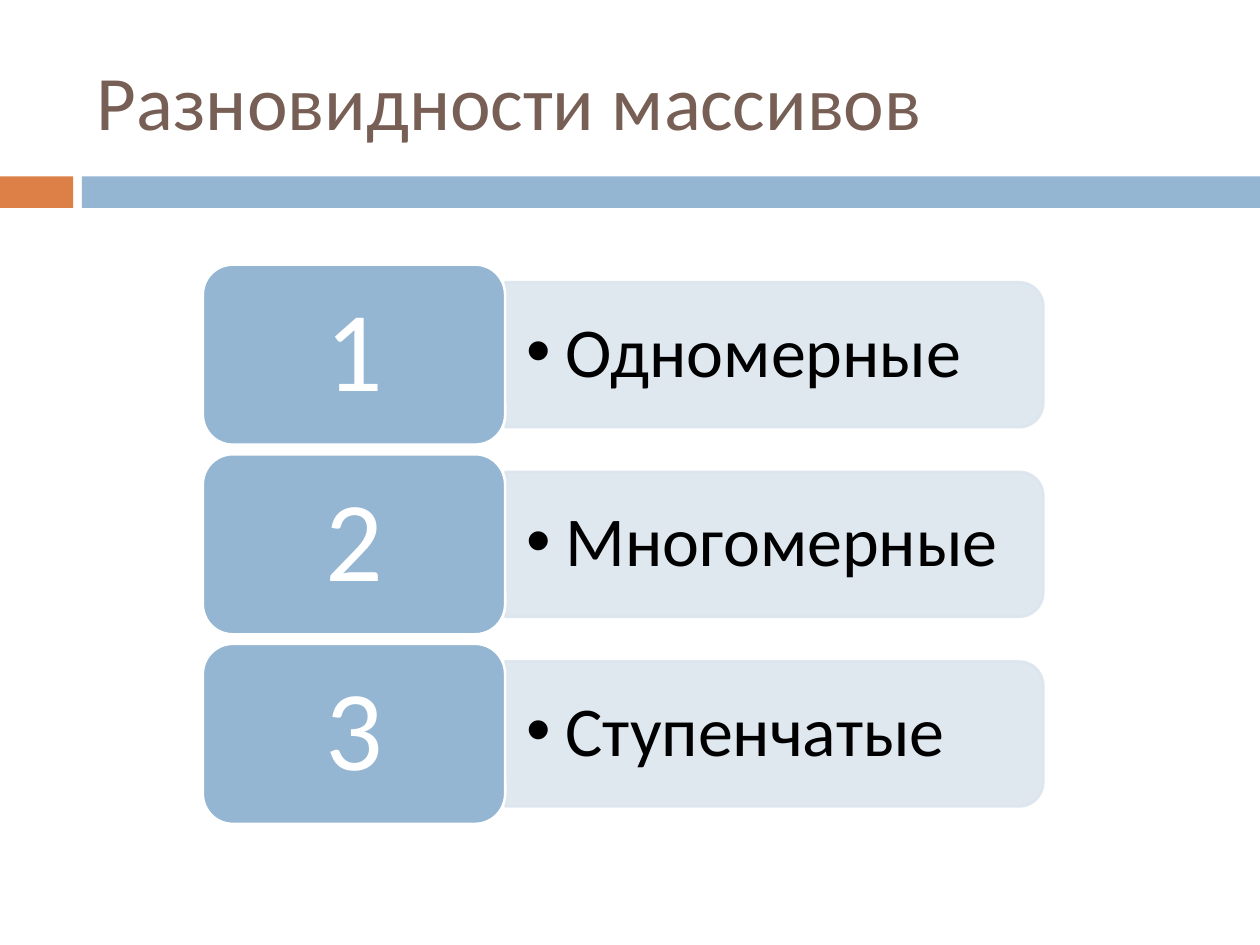
import pptx
import pptx.util
import pptx.dml.color
import pptx.enum.shapes
import pptx.enum.text
import pptx.oxml.ns
import lxml.etree

Inches, Pt = pptx.util.Inches, pptx.util.Pt
SHAPE = pptx.enum.shapes.MSO_SHAPE
ALIGN = pptx.enum.text.PP_ALIGN
qn = pptx.oxml.ns.qn

THEME = {
    "font": "Calibri",
    "title": {"color": "775F55", "size": 44},
    "number": {"color": "FFFFFF", "size": 65},
    "label": {"color": "000000", "size": 40},
    "orange": "DD8047", "blue": "94B6D2", "panel": "DCE5EE", "outline": "FFFFFF",
}


def add_block(kind, box, fill, line=None):
    block = slide.shapes.add_shape(kind, *map(Inches, box))
    block.shadow.inherit = False
    block.fill.solid()
    block.fill.fore_color.rgb = pptx.dml.color.RGBColor.from_string(fill)
    if line:
        block.line.color.rgb = pptx.dml.color.RGBColor.from_string(line)
        block.line.width = Pt(1.5)
    else:
        block.line.fill.background()
    return block


def write(holder, text, style, margins, **paragraph_format):
    frame = holder.text_frame
    across, down = map(Inches, margins)
    frame_format = {
        "word_wrap": True, "vertical_anchor": pptx.enum.text.MSO_ANCHOR.MIDDLE,
        "margin_left": across, "margin_right": across,
        "margin_top": down, "margin_bottom": down,
    }
    for name, value in frame_format.items():
        setattr(frame, name, value)
    paragraph = frame.paragraphs[0]
    for name, value in paragraph_format.items():
        setattr(paragraph, name, value)
    run = paragraph.add_run()
    run.text = text
    run.font.name = THEME["font"]
    run.font.size = Pt(style["size"])
    run.font.color.rgb = pptx.dml.color.RGBColor.from_string(style["color"])
    return paragraph


deck = pptx.Presentation()
deck.slide_width, deck.slide_height = Inches(10), Inches(7.5)
slide = deck.slides.add_slide(deck.slide_layouts[6])

# Two-colour band under the heading
add_block(SHAPE.RECTANGLE, (0, 1.4, 0.58, 0.25), THEME["orange"])
add_block(SHAPE.RECTANGLE, (0.65, 1.4, 9.35, 0.25), THEME["blue"])

# Heading
heading = slide.shapes.add_textbox(*map(Inches, (0.67, 0.25, 8.92, 1.08)))
write(heading, "Разновидности массивов", THEME["title"], (0.1, 0.05),
      alignment=ALIGN.LEFT)

# Numbered array kinds
first_top, row_step = 2.1, 1.505
for row, array_kind in enumerate(["Одномерные", "Многомерные", "Ступенчатые"]):
    top = first_top + row * row_step

    # Translucent panel, turned so its rounded corners face right
    panel = add_block(SHAPE.ROUND_2_SAME_RECTANGLE, (5.57, top - 1.42, 1.15, 4.27),
                      THEME["panel"], THEME["panel"])
    panel.rotation = 90
    for color in panel._element.spPr.iter(qn("a:srgbClr")):
        lxml.etree.SubElement(color, qn("a:alpha"), val="90000")

    # Bulleted label
    label = slide.shapes.add_textbox(*map(Inches, (4.01, top + 0.2, 4.21, 1.03)))
    bullet_line = write(label, array_kind, THEME["label"], (0.17, 0.08),
                        alignment=ALIGN.LEFT, line_spacing=0.9)
    properties = bullet_line._p.get_or_add_pPr()
    properties.set("marL", str(Inches(0.31)))
    properties.set("indent", str(Inches(-0.31)))
    lxml.etree.SubElement(properties, qn("a:buFont"), typeface="Arial")
    lxml.etree.SubElement(properties, qn("a:buChar"), char="•")

    # Number tile
    tile = add_block(SHAPE.ROUNDED_RECTANGLE, (1.61, top, 2.4, 1.43),
                     THEME["blue"], THEME["outline"])
    write(tile, str(row + 1), THEME["number"], (0.27, 0.14),
          alignment=ALIGN.CENTER, line_spacing=0.9)

deck.save("out.pptx")
